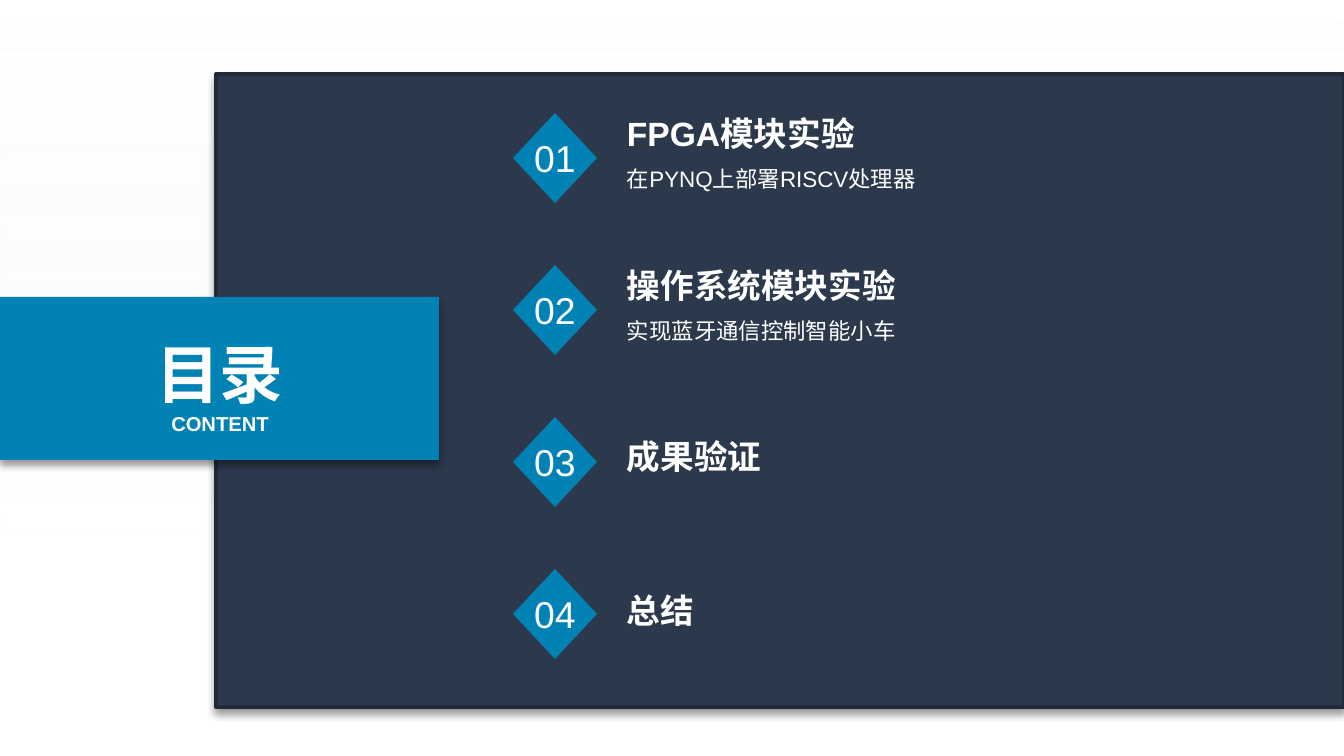
from lxml import etree
from pptx import Presentation
from pptx.dml.color import RGBColor
from pptx.enum.shapes import MSO_SHAPE
from pptx.enum.text import MSO_ANCHOR, PP_ALIGN
from pptx.oxml.ns import qn
from pptx.util import Emu, Pt

RECT, DIAMOND = MSO_SHAPE.RECTANGLE, MSO_SHAPE.DIAMOND
TOP, MIDDLE, BOTTOM = MSO_ANCHOR.TOP, MSO_ANCHOR.MIDDLE, MSO_ANCHOR.BOTTOM
LEFT, CENTER = PP_ALIGN.LEFT, PP_ALIGN.CENTER

WIDTH, HEIGHT = 1344, 756
SCALE = 9144000 / WIDTH
WHITE, BLUE, NAVY, EDGE = "FFFFFF", "0083B4", "2C394C", "212A38"

# title, subtitle, drop of the title below the top of its diamond
ITEMS = [
    ("FPGA模块实验", "在PYNQ上部署RISCV处理器", 5),
    ("操作系统模块实验", "实现蓝牙通信控制智能小车", 5),
    ("成果验证", "", 24),
    ("总结", "", 26),
]
# text, top, height, size
HEADS = [("目录", 328, 85, 34.1), ("CONTENT", 405, 34, 10.8)]
# position in %, colour, opacity in %
STOPS = [(0, "FFFFFF", 55), (71, "F2F2F2", 0)]

FIRST, PITCH = 113, 152
MARK_X, MARK_W, MARK_H = 513, 84, 90
TEXT_X, TEXT_W, INDENT = 575, 530, 52
TITLE_H, SUB_H = 35, 46


def px(n):
    return Emu(round(n * SCALE))


def rgb(code):
    return RGBColor.from_string(code)


def add_shape(kind, box, fill=None):
    shape = slide.shapes.add_shape(kind, *map(px, box))
    shape.shadow.inherit = False
    shape.line.fill.background()
    if fill:
        shape.fill.solid()
        shape.fill.fore_color.rgb = rgb(fill)
    return shape


def add_alpha(color, percent):
    etree.SubElement(color, qn("a:alpha"), val=str(percent * 1000))


def add_shadow(shape):
    effects = shape._element.spPr.find(qn("a:effectLst"))
    outer = etree.SubElement(
        effects, qn("a:outerShdw"), blurRad=str(Pt(4)), dist=str(Pt(3)),
        dir="5400000", algn="t", rotWithShape="0")
    add_alpha(etree.SubElement(outer, qn("a:srgbClr"), val="000000"), 40)


def set_text(shape, text, size, align, anchor, bold=False, inset=None,
             wrap=True):
    """Write one white line; an inset also clears the other margins."""
    frame = shape.text_frame
    frame.word_wrap = wrap
    frame.vertical_anchor = anchor
    if inset is not None:
        frame.margin_left = px(inset)
        frame.margin_top = frame.margin_right = frame.margin_bottom = 0
    frame.text = text
    para = frame.paragraphs[0]
    para.alignment = align
    font = para.runs[0].font
    font.name, font.size, font.bold = "Arial", Pt(size), bold
    font.color.rgb = rgb(WHITE)
    return para


def add_text(box, *args, **opts):
    return set_text(slide.shapes.add_textbox(*map(px, box)), *args, **opts)


prs = Presentation()
prs.slide_width, prs.slide_height = px(WIDTH), px(HEIGHT)
slide = prs.slides.add_slide(prs.slide_layouts[6])

back = add_shape(RECT, (0, 0, WIDTH, HEIGHT))
back.fill.gradient()
back.fill.gradient_angle = 270
for stop, (place, code, alpha) in zip(back.fill.gradient_stops, STOPS):
    stop.position = place / 100
    stop.color.rgb = rgb(code)
colors = back._element.spPr.iter(qn("a:srgbClr"))
for color, (_, _, alpha) in zip(list(colors), STOPS):
    add_alpha(color, alpha)

panel = add_shape(RECT, (216, 74, 1128, 633), NAVY)
panel.line.color.rgb = rgb(EDGE)
panel.line.width = Pt(2)
add_shadow(panel)

for i, (title, sub, drop) in enumerate(ITEMS):
    top = FIRST + i * PITCH
    mark = add_shape(DIAMOND, (MARK_X, top, MARK_W, MARK_H), BLUE)
    set_text(mark, f"{i + 1:02}", 20, CENTER, MIDDLE, inset=0, wrap=False)
    add_text((TEXT_X, top + drop, TEXT_W, TITLE_H), title, 18, LEFT, BOTTOM,
             bold=True, inset=INDENT, wrap=False)
    if sub:
        para = add_text((TEXT_X, top + drop + TITLE_H, TEXT_W, SUB_H), sub,
                        12, LEFT, MIDDLE, inset=INDENT)
        para.line_spacing = 1.2

add_shadow(add_shape(RECT, (0, 297, 439, 163), BLUE))
for text, top, height, size in HEADS:
    add_text((142, top, 156, height), text, size, CENTER, TOP, bold=True)

prs.save("out.pptx")
